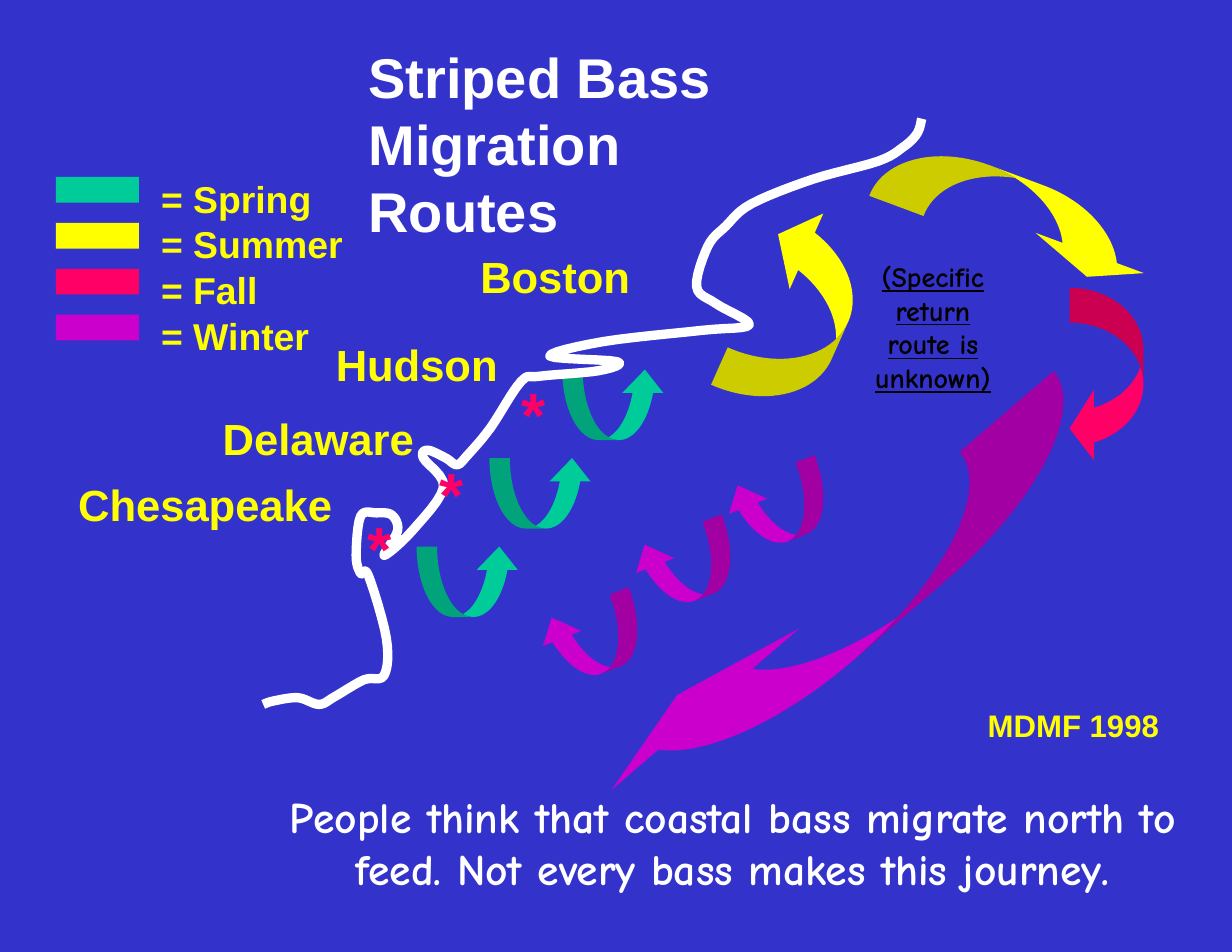
from pptx import Presentation
from pptx.dml.color import RGBColor
from pptx.enum.shapes import MSO_SHAPE
from pptx.enum.text import MSO_ANCHOR, MSO_AUTO_SIZE, PP_ALIGN
from pptx.util import Inches, Pt

BLUE = RGBColor(0x33, 0x33, 0xCC)
WHITE = RGBColor(0xFF, 0xFF, 0xFF)
BLACK = RGBColor(0, 0, 0)
GREEN = RGBColor(0, 0xCC, 0x99)
YELLOW = RGBColor(0xFF, 0xFF, 0)
RED = RGBColor(0xFF, 0, 0x66)
PURPLE = RGBColor(0xCC, 0, 0xCC)

UP = MSO_SHAPE.CURVED_UP_ARROW
DOWN = MSO_SHAPE.CURVED_DOWN_ARROW
LEFT = MSO_SHAPE.CURVED_LEFT_ARROW

SEASONS = [("Spring", GREEN, 1.54), ("Summer", YELLOW, 1.82),
           ("Fall", RED, 1.06), ("Winter", PURPLE, 1.52)]
PLACES = [("Boston", 4.19, 2.18, 1.54), ("Hudson", 2.9, 2.97, 1.64),
          ("Delaware", 1.89, 3.63, 1.9), ("Chesapeake", 0.6, 4.22, 2.46)]
RIVER_MOUTHS = [(4.56, 3.3), (3.83, 4.02), (3.18, 4.5)]
COAST = [
    (8.23, 1.06), (8.19, 1.19), (8.07, 1.31), (7.84, 1.44), (7.26, 1.6), (6.71, 1.82),
    (6.48, 2.02), (6.32, 2.2), (6.22, 2.56), (6.39, 2.71), (6.69, 2.9), (6.27, 2.95),
    (5.39, 3.05), (4.91, 3.18), (5.51, 3.23), (5.35, 3.31), (4.82, 3.36), (4.65, 3.41),
    (4.38, 3.82), (4.17, 4.07), (4.08, 4.15), (3.98, 4.09), (3.82, 4.02), (3.78, 4.09),
    (3.96, 4.35), (3.68, 4.74), (3.43, 4.96), (3.55, 4.74), (3.5, 4.6), (3.36, 4.58),
    (3.22, 4.61), (3.18, 4.96), (3.22, 5.12), (3.29, 5.14), (3.45, 5.7), (3.43, 6.03),
    (3.25, 6.07), (2.99, 6.22), (2.85, 6.29), (2.66, 6.23), (2.44, 6.26), (2.35, 6.29)]


def smooth_path(anchors, steps=6):
    """Return points on a spline through the anchors."""
    padded = [anchors[0], *anchors, anchors[-1]]
    points = [anchors[0]]
    for a, b, c, d in zip(padded, padded[1:], padded[2:], padded[3:]):
        for step in range(1, steps + 1):
            t = step / steps
            points.append(tuple(
                q + t * ((r - p) + t * ((2 * p - 5 * q + 4 * r - s)
                                        + t * (3 * q - p - 3 * r + s))) / 2
                for p, q, r, s in zip(a, b, c, d)))
    return points


def add_coast(page):
    """Draw the coastline."""
    points = [(Inches(x), Inches(y)) for x, y in smooth_path(COAST)]
    builder = page.shapes.build_freeform(*points[0])
    builder.add_line_segments(points[1:], close=False)
    coast = builder.convert_to_shape()
    coast.shadow.inherit = False
    coast.fill.background()
    coast.line.color.rgb = WHITE
    coast.line.width = Pt(6)


def paint(shape, color):
    """Give a shape a plain fill without line or shadow."""
    shape.shadow.inherit = False
    shape.fill.solid()
    shape.fill.fore_color.rgb = color
    shape.line.fill.background()


def add_arrow(page, kind, box, color, shaft, head, rotation=0, flip=False):
    """Add a curved arrow with its shaft and head widths."""
    arrow = page.shapes.add_shape(kind, *map(Inches, box))
    paint(arrow, color)
    arrow.adjustments[0] = shaft
    arrow.adjustments[1] = head
    arrow.adjustments[2] = 0.33
    arrow.rotation = rotation
    if flip:
        arrow._element.spPr.xfrm.set("flipH", "1")


def format_text(box, text, size, color, font="Arial", align=PP_ALIGN.LEFT, wrap=False):
    """Fill a box with bold text."""
    frame = box.text_frame
    frame.text = text
    frame.word_wrap = wrap
    frame.auto_size = MSO_AUTO_SIZE.NONE
    frame.vertical_anchor = MSO_ANCHOR.TOP
    for para in frame.paragraphs:
        para.alignment = align
        para.font.name = font
        para.font.size = Pt(size)
        para.font.bold = True
        para.font.color.rgb = color


def add_label(shapes, text, left, top, width, height, *style, **options):
    """Add a text box and format it."""
    box = shapes.add_textbox(Inches(left), Inches(top), Inches(width), Inches(height))
    format_text(box, text, *style, **options)
    return box


def add_legend(page, left, top):
    """Add the season colour key as a group."""
    shapes = page.shapes.add_group_shape().shapes
    for row, (season, color, width) in enumerate(SEASONS):
        y = top + 0.41 * row
        swatch = shapes.add_shape(MSO_SHAPE.RECTANGLE, Inches(left), Inches(y),
                                  Inches(0.74), Inches(0.23))
        paint(swatch, color)
        add_label(shapes, f"= {season}", left + 0.84, y - 0.06, width, 0.5, 24, YELLOW)


def add_map(page):
    """Add the coast, the migration arrows and the place names."""
    for left, top in ((5.67, 4.74), (6.5, 4.21), (4.84, 5.39)):
        add_arrow(page, UP, (left, top, 0.92, 0.63), PURPLE, 0.29, 0.58, 338.5, True)
    for step in range(3):
        box = (5.02 - 0.65 * step, 3.3 + 0.79 * step, 0.92, 0.63)
        add_arrow(page, UP, box, GREEN, 0.29, 0.58)
    add_coast(page)
    add_arrow(page, UP, (6.21, 2.33, 1.84, 0.89), YELLOW, 0.41, 0.83, 294)
    add_arrow(page, DOWN, (7.79, 1.59, 2.59, 0.63), YELLOW, 0.82, 1.64, 20.4)
    add_arrow(page, LEFT, (7.17, 2.65, 0.79, 5.54), PURPLE, 1.4, 2.8, 49.3)
    add_arrow(page, LEFT, (9.55, 2.57, 0.66, 1.57), RED, 0.47, 0.95)
    for name, left, top, width in PLACES:
        add_label(page.shapes, name, left, top, width, 0.57, 28, YELLOW)
    for left, top in RIVER_MOUTHS:
        add_label(page.shapes, "*", left, top, 0.41, 0.77, 40, RED)


def main():
    """Build the migration slide and save it."""
    deck = Presentation()
    deck.slide_width, deck.slide_height = Inches(11), Inches(8.5)
    page = deck.slides.add_slide(deck.slide_layouts[5])
    page.background.fill.solid()
    page.background.fill.fore_color.rgb = BLUE
    add_map(page)
    add_legend(page, 0.5, 1.58)
    title = page.shapes.title
    title.left, title.top, title.width, title.height = map(Inches, (3.19, 0.33, 4.28, 1.3))
    format_text(title, "Striped Bass\nMigration Routes", 36, WHITE)
    add_label(page.shapes, "MDMF 1998", 8.72, 6.26, 1.73, 0.44, 20, YELLOW)
    comic = {"font": "Comic Neue", "align": PP_ALIGN.CENTER, "wrap": True}
    add_label(page.shapes, "People think that coastal bass migrate north to feed. "
              "Not every bass makes this journey.", 2.08, 7, 8.92, 1.04, 28, WHITE, **comic)
    note = add_label(page.shapes, "(Specific return route is unknown)",
                     7.58, 2.27, 1.5, 1.3, 18, BLACK, **comic)
    note.text_frame.paragraphs[0].font.underline = True
    deck.save("out.pptx")


if __name__ == "__main__":
    main()
